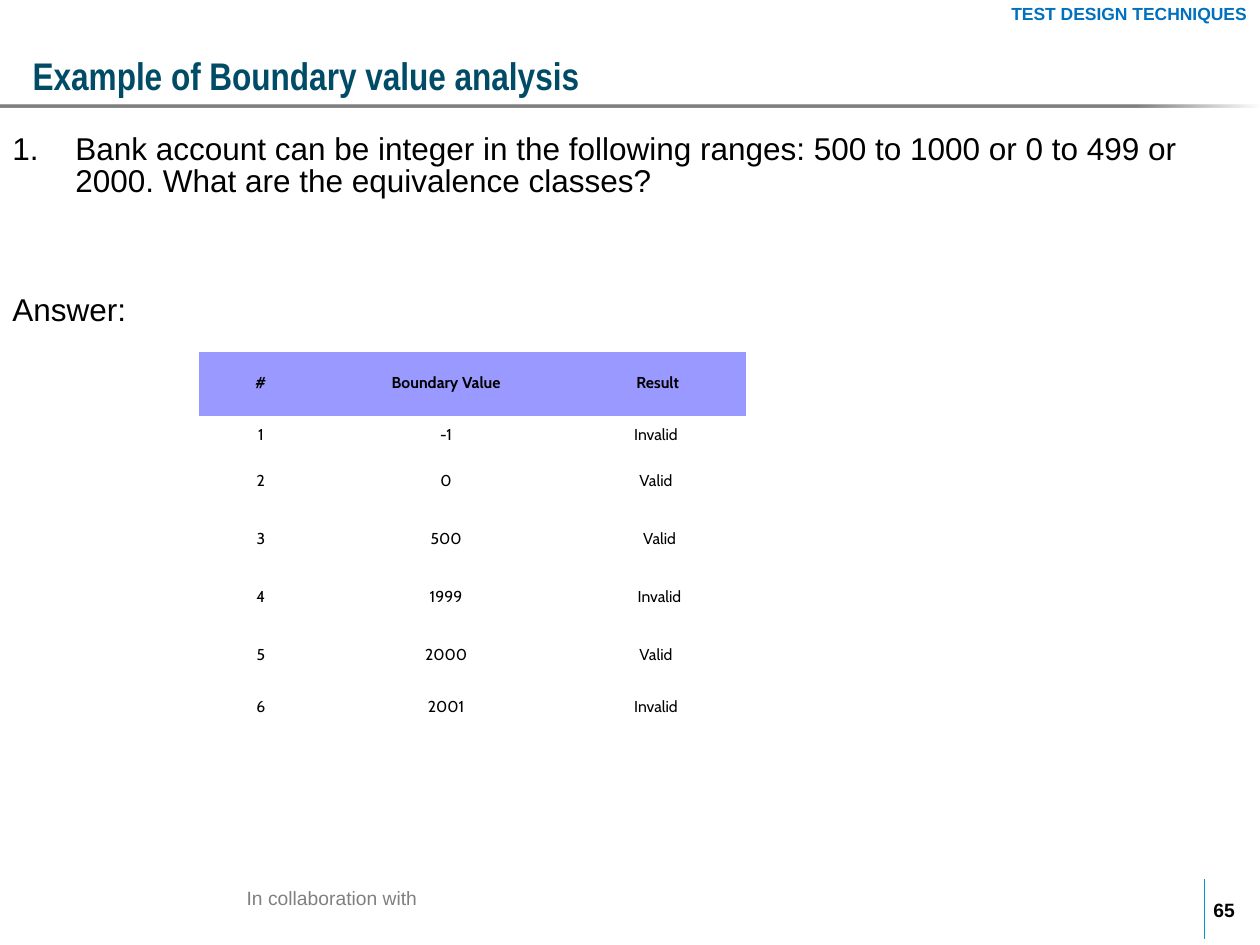
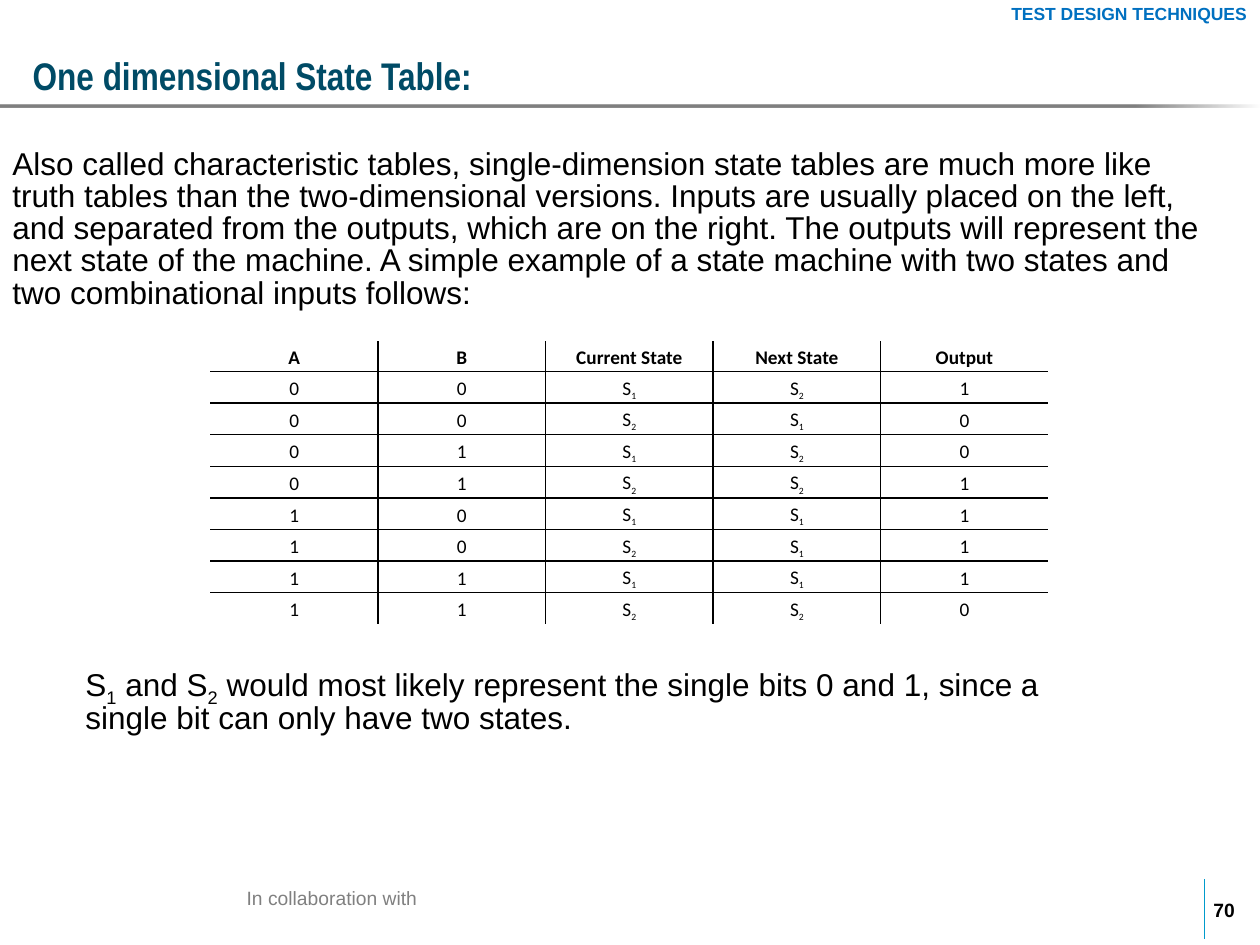
"""Two slides on test design: boundary values and a one dimensional state table."""
from lxml import etree
from pptx import Presentation
from pptx import util as u
from pptx.dml.color import RGBColor
from pptx.enum import shapes, text
from pptx.oxml import ns, parse_xml

INK, TITLE, HEADER, GREY, RULE, HEAD_FILL = "000000", "004B66", "0070C0", "808080", "009BCC", "9999FF"
LEFT, CENTER = text.PP_ALIGN.LEFT, text.PP_ALIGN.CENTER
TOP, MIDDLE, BOTTOM = text.MSO_ANCHOR.TOP, text.MSO_ANCHOR.MIDDLE, text.MSO_ANCHOR.BOTTOM
PLAIN_TABLE = "{2D5ABB26-0587-4C30-8999-92F81FD0307C}"


def write(para, words, size, color=INK, font="Arial", bold=False, align=LEFT, spacing=0.85, sub_size=None):
    """Fill a paragraph; the character after each underscore is a subscript."""
    para.alignment, para.line_spacing = align, spacing
    para.font.size, para.font.name, para.font.bold = u.Pt(size), font, bold
    para.font.color.rgb = RGBColor.from_string(color)
    first, *others = words.split("_")
    pieces = [(first, False)]
    for part in others:
        pieces += [(part[0], True), (part[1:], False)]
    for piece, lowered in pieces:
        if piece:
            span = para.add_run()
            span.text = piece
            if lowered:
                span.font.size = u.Pt(sub_size or size)
                span.font._element.set("baseline", "-25000")


def add_text(page, at, words, size, wrap=True, anchor=TOP, insets=(0.1, 0.05, 0.1, 0.05), **style):
    """Add a text box with one paragraph and return its frame."""
    frame = page.shapes.add_textbox(*map(u.Inches, at)).text_frame
    frame.word_wrap, frame.vertical_anchor = wrap, anchor
    frame.margin_left, frame.margin_top, frame.margin_right, frame.margin_bottom = map(u.Inches, insets)
    write(frame.paragraphs[0], words, size, **style)
    return frame


deck = Presentation()
deck.slide_width, deck.slide_height = u.Inches(10), u.Inches(7.5)
pages = []
for title, number in (("Example of Boundary value analysis", "65"), ("One dimensional State Table:", "70")):
    page = deck.slides.add_slide(deck.slide_layouts[6])
    pages.append(page)

    band = page.shapes.add_shape(shapes.MSO_SHAPE.RECTANGLE, 0, u.Inches(0.83), u.Inches(10), u.Inches(0.02))
    band.shadow.inherit = False
    band.line.fill.background()
    band.fill.gradient()
    band.fill.gradient_angle = 0
    stops = band._element.spPr.find(".//" + ns.qn("a:gsLst"))
    for stop in list(stops):
        stops.remove(stop)
    for place, alpha in ((40, 100), (90, 100), (100, 0)):
        stops.append(parse_xml(
            f'<a:gs {ns.nsdecls("a")} pos="{place * 1000}"><a:srgbClr val="{GREY}">'
            f'<a:alpha val="{alpha * 1000}"/></a:srgbClr></a:gs>'))

    divider = page.shapes.add_connector(
        shapes.MSO_CONNECTOR.STRAIGHT, u.Inches(9.56), u.Inches(6.98), u.Inches(9.56), u.Inches(7.45))
    divider.line.color.rgb = RGBColor.from_string(RULE)
    divider.line.width = u.Pt(0.75)
    etree.SubElement(divider._element.spPr, ns.qn("a:effectLst"))

    add_text(page, (1.85, 7.01, 1.57, 0.26), "In collaboration with", 11, wrap=False, color=GREY, align=CENTER)
    add_text(page, (0.26, 0.23, 9.53, 0.6), title, 22, anchor=BOTTOM, insets=(0, 0.05, 0.1, 0.05),
             color=TITLE, font="Arial Narrow", bold=True, spacing=1.0)
    add_text(page, (9.59, 7.14, 0.28, 0.16), number, 11, wrap=False, anchor=MIDDLE,
             insets=(0.04, 0, 0.05, 0), bold=True, spacing=1.0)
    add_text(page, (7.92, 0, 2.08, 0.24), "TEST DESIGN TECHNIQUES", 10, color=HEADER, bold=True, align=CENTER)

boundary_page, state_page = pages

question = add_text(
    boundary_page, (0, 1.02, 9.79, 3.28),
    "Bank account can be integer in the following ranges: 500 to 1000 or 0 to 499 or 2000. "
    "What are the equivalence classes?", 18)
numbering = question.paragraphs[0]._p.get_or_add_pPr()
numbering.set("marL", str(u.Inches(0.5)))
numbering.set("indent", str(u.Inches(-0.5)))
numbering.insert_element_before(
    parse_xml(f'<a:buAutoNum {ns.nsdecls("a")} type="arabicPeriod"/>'), "a:tabLst", "a:defRPr", "a:extLst")
answer = question.add_paragraph()
write(answer, "Answer:", 18)
answer.space_before = u.Pt(55.4)

add_text(
    state_page, (0, 1.14, 9.79, 1.6),
    "Also called characteristic tables, single-dimension state tables are much more like truth tables "
    "than the two-dimensional versions. Inputs are usually placed on the left, and separated from the "
    "outputs, which are on the right. The outputs will represent the next state of the machine. A simple "
    "example of a state machine with two states and two combinational inputs follows:", 18)
add_text(
    state_page, (0.58, 5.25, 8.17, 0.96),
    "S_1 and S_2 would most likely represent the single bits 0 and 1, since a single bit can only have "
    "two states.", 18)

boundary_rows = [
    ("#", "Boundary Value", "Result"),
    ("1", "-1", "Invalid "),
    ("2", "0", "Valid "),
    ("3", "500", " Valid"),
    ("4", "1999", " Invalid"),
    ("5", "2000", "Valid "),
    ("6", "2001", "Invalid "),
]
state_rows = [
    ("A", "B", "Current State", "Next State", "Output"),
    ("0", "0", "S_1", "S_2", "1"),
    ("0", "0", "S_2", "S_1", "0"),
    ("0", "1", "S_1", "S_2", "0"),
    ("0", "1", "S_2", "S_2", "1"),
    ("1", "0", "S_1", "S_1", "1"),
    ("1", "0", "S_2", "S_1", "1"),
    ("1", "1", "S_1", "S_1", "1"),
    ("1", "1", "S_2", "S_2", "0"),
]
boundary_heights = [0.51, 0.32, 0.41, 0.51, 0.41, 0.51, 0.32]
state_heights = [0.24] + [0.25] * 8
boundary_style = dict(size=9, font="Cabin")
state_style = dict(size=11, font="Calibri", spacing=1.15, sub_size=9.5)
tables = [
    (boundary_page, 1.58, 2.79, [0.98, 1.96, 1.4], boundary_heights, boundary_rows, boundary_style, HEAD_FILL, False),
    (state_page, 1.67, 2.71, [1.33] * 5, state_heights, state_rows, state_style, None, True),
]
for page, left, top, widths, heights, rows, style, head_fill, ruled in tables:
    table = page.shapes.add_table(
        len(rows), len(widths), *map(u.Inches, (left, top, sum(widths), sum(heights)))).table
    table.horz_banding = False
    table._tbl.tblPr.find(ns.qn("a:tableStyleId")).text = PLAIN_TABLE
    for column, width in zip(table.columns, widths):
        column.width = u.Inches(width)
    for line, height in zip(table.rows, heights):
        line.height = u.Inches(height)
    for r, row in enumerate(rows):
        for c, words in enumerate(row):
            cell = table.cell(r, c)
            cell.vertical_anchor = MIDDLE
            cell.margin_left = cell.margin_right = cell.margin_top = cell.margin_bottom = u.Inches(0.01)
            para = cell.text_frame.paragraphs[0]
            write(para, words, bold=r == 0, align=CENTER, **style)
            inner = {"lnL": c > 0, "lnR": c < len(row) - 1, "lnT": r > 0, "lnB": r < len(rows) - 1}
            for side, shown in inner.items():
                if ruled and shown:
                    cell._tc.get_or_add_tcPr().append(parse_xml(
                        f'<a:{side} {ns.nsdecls("a")} w="{u.Pt(1)}"><a:solidFill>'
                        f'<a:srgbClr val="{INK}"/></a:solidFill></a:{side}>'))
            if r == 0 and head_fill:
                cell.fill.solid()
                cell.fill.fore_color.rgb = RGBColor.from_string(head_fill)
            else:
                cell.fill.background()

deck.save("out.pptx")
